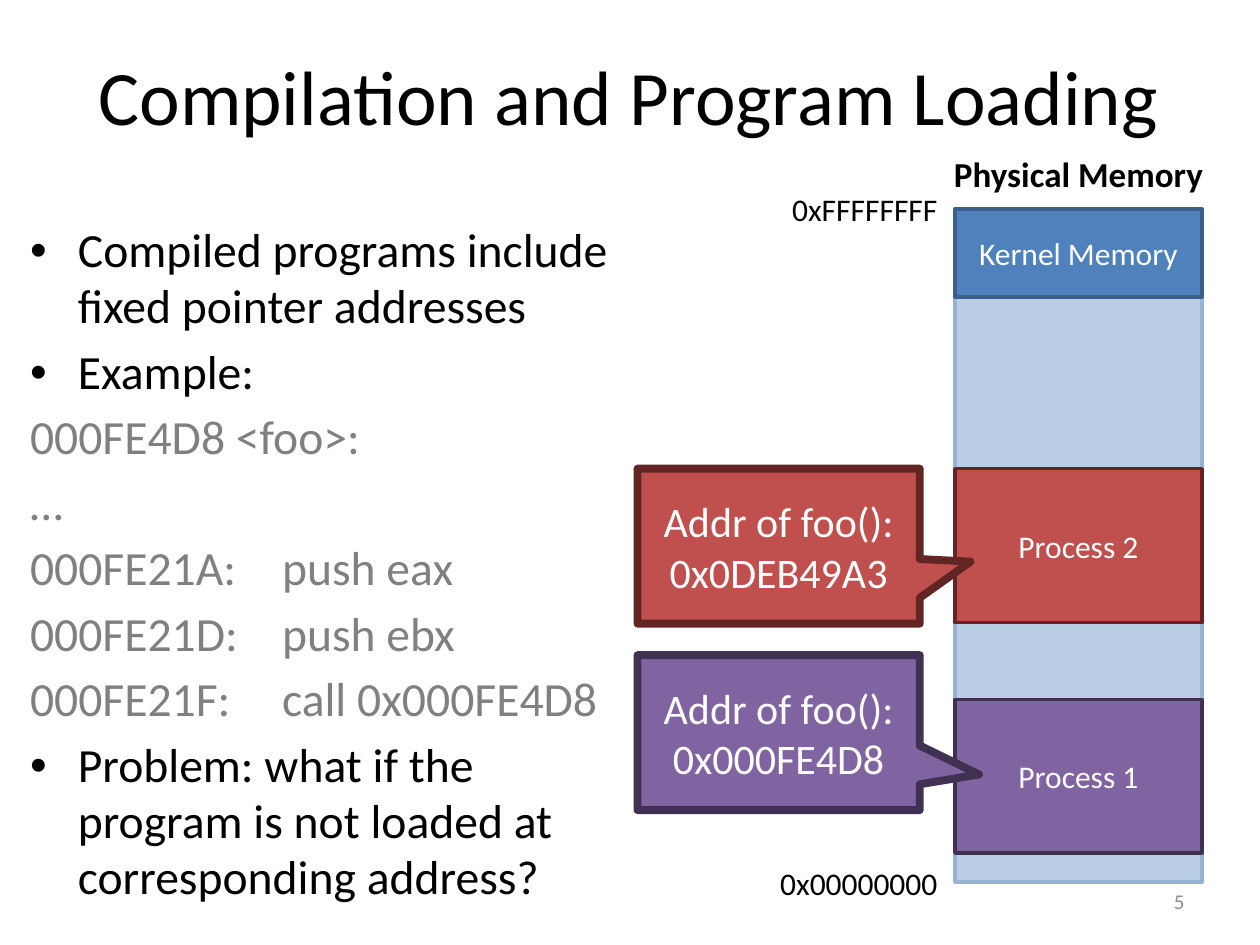
import pptx
import pptx.dml.color
import pptx.enum.shapes
import pptx.enum.text
import pptx.oxml
import pptx.oxml.ns
import pptx.util

PX = 9144  # 100 px to the inch
ALIGN = pptx.enum.text.PP_ALIGN
ANCHOR = pptx.enum.text.MSO_ANCHOR
SHAPE = pptx.enum.shapes.MSO_SHAPE
BLUE = ("4F81BD", "3A5F8C")
PALE = ("B9CDE5", "95B3D7")
PURPLE = ("8064A2", "403152")
RED = ("C0504D", "632523")


def color(value):
    return pptx.dml.color.RGBColor.from_string(value)


def emu(*lengths):
    return [pptx.util.Emu(length * PX) for length in lengths]


def add_bullet(paragraph, indent):
    properties = paragraph._p.get_or_add_pPr()
    properties.set("marL", str(indent * PX))
    properties.set("indent", str(-indent * PX))
    namespace = pptx.oxml.ns.nsdecls("a")
    for tag in ('buFont typeface="Arial"', 'buChar char="•"'):
        properties.append(pptx.oxml.parse_xml(f"<a:{tag} {namespace}/>"))


def format_text(paragraph, text, size=18, fill="000000", bold=False,
                align=ALIGN.LEFT, bullet=0, before=0, spacing=None):
    paragraph.text = text
    paragraph.alignment = align
    paragraph.space_before = pptx.util.Pt(before)
    if spacing:
        paragraph.line_spacing = spacing
    if bullet:
        add_bullet(paragraph, bullet)
    font = paragraph.font
    font.name = "Calibri"
    font.size = pptx.util.Pt(size)
    font.bold = bold
    font.color.rgb = color(fill)


def add_text(slide, box, text, anchor=ANCHOR.TOP, wrap=False, **text_format):
    frame = slide.shapes.add_textbox(*emu(*box)).text_frame
    frame.word_wrap = wrap
    frame.vertical_anchor = anchor
    format_text(frame.paragraphs[0], text, **text_format)
    return frame


def add_block(slide, box, colors, text="", size=18, line=2, kind=SHAPE.RECTANGLE):
    shape = slide.shapes.add_shape(kind, *emu(*box))
    shape.shadow.inherit = False
    shape.fill.solid()
    shape.fill.fore_color.rgb = color(colors[0])
    shape.line.color.rgb = color(colors[1])
    shape.line.width = pptx.util.Pt(line)
    if text:
        shape.text_frame.word_wrap = True
        shape.text_frame.vertical_anchor = ANCHOR.MIDDLE
        format_text(shape.text_frame.paragraphs[0], text, size=size,
                    fill="FFFFFF", align=ALIGN.CENTER)
    return shape


def add_title(slide, box, text):
    title = slide.shapes.title
    title.left, title.top, title.width, title.height = emu(*box)
    title.text_frame.vertical_anchor = ANCHOR.MIDDLE
    format_text(title.text_frame.paragraphs[0], text, size=44, align=ALIGN.CENTER)


def add_body(slide, box, items):
    frame = None
    for text, is_code in items:
        style = dict(size=27.2, spacing=0.98, fill="808080" if is_code else "000000",
                     bullet=0 if is_code else 38)
        if frame is None:
            frame = add_text(slide, box, text, wrap=True, **style)
        else:
            format_text(frame.add_paragraph(), text, before=5.4, **style)


def add_memory(slide, box):
    left, top, width, height = box
    add_block(slide, box, PALE)
    # Address labels and heading
    add_text(slide, (left - 150, top + height - 19, 146, 40), "0x00000000", align=ALIGN.RIGHT)
    add_text(slide, (left - 140, top - 20, 136, 40), "0xFFFFFFFF", align=ALIGN.RIGHT)
    add_text(slide, (left - 12, top - 50, 220, 44), "Physical Memory",
             size=20, bold=True, align=ALIGN.CENTER)
    # Occupied regions
    for offset, region_height, colors, text in (
            (0, 70, BLUE, "Kernel Memory"),
            (389, 122, PURPLE, "Process 1"),
            (206, 122, RED, "Process 2")):
        add_block(slide, (left, top + offset, width, region_height), colors, text)
    # Callouts pointing at the processes
    for offset, colors, address, tip in (
            (354, PURPLE, "0x000FE4D8", (0.71, 0.27)),
            (206, RED, "0x0DEB49A3", (0.68, 0.1))):
        callout = add_block(slide, (left - 252, top + offset, 224, 123), colors,
                            f"Addr of foo(): {address}", size=24, line=4.5,
                            kind=SHAPE.RECTANGULAR_CALLOUT)
        callout.adjustments[0], callout.adjustments[1] = tip


def main():
    presentation = pptx.Presentation()
    presentation.slide_width, presentation.slide_height = emu(1000, 750)
    slide = presentation.slides.add_slide(presentation.slide_layouts[5])

    add_title(slide, (49, 13, 900, 125), "Compilation and Program Loading")
    add_body(slide, (14, 172, 493, 556), (
        ("Compiled programs include fixed pointer addresses", False),
        ("Example:", False),
        ("000FE4D8 <foo>:", True),
        ("…", True),
        ("000FE21A:\tpush eax", True),
        ("000FE21D:\tpush ebx", True),
        ("000FE21F:\tcall 0x000FE4D8", True),
        ("Problem: what if the program is not loaded at corresponding address?", False),
    ))
    # Slide number
    add_text(slide, (717, 695, 233, 40), "5", anchor=ANCHOR.MIDDLE, wrap=True,
             size=12, fill="8C8C8C", align=ALIGN.RIGHT)
    add_memory(slide, (758, 166, 196, 534))

    presentation.save("out.pptx")


if __name__ == "__main__":
    main()
